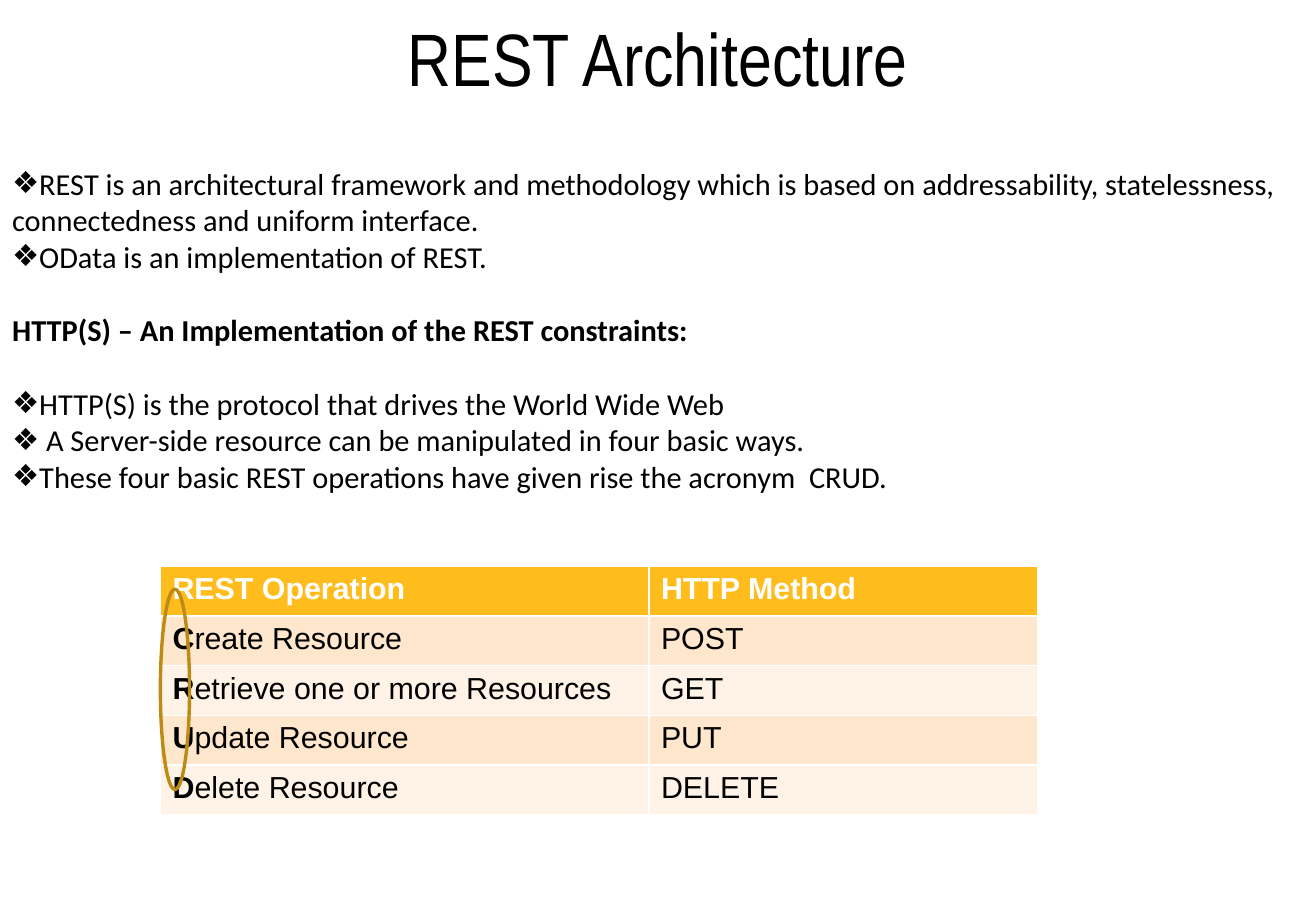
import pptx
import pptx.util
import pptx.dml.color
import pptx.enum.shapes
import pptx.enum.text
import lxml.etree
from pptx.oxml.ns import qn
from pptx.util import Inches

BLACK = pptx.dml.color.RGBColor(0x00, 0x00, 0x00)
WHITE = pptx.dml.color.RGBColor(0xFF, 0xFF, 0xFF)
AMBER = pptx.dml.color.RGBColor(0xFF, 0xBC, 0x1D)
PEACH = pptx.dml.color.RGBColor(0xFF, 0xE7, 0xCD)
CREAM = pptx.dml.color.RGBColor(0xFF, 0xF3, 0xE8)
BRONZE = pptx.dml.color.RGBColor(0xBD, 0x8B, 0x15)

SLIDE_WIDTH = Inches(10.83)
BLANK_LINE = 22

# Text, bullet shown, space before in points
BODY_LINES = [
    ("REST is an architectural framework and methodology which is based on "
     "addressability, statelessness, connectedness and uniform interface.", True, 0),
    ("OData is an implementation of REST.", True, 0),
    ("HTTP(S) – An Implementation of the REST constraints:", False, BLANK_LINE),
    ("HTTP(S) is the protocol that drives the World Wide Web", True, BLANK_LINE),
    (" A Server-side resource can be manipulated in four basic ways.", True, 0),
    ("These four basic REST operations have given rise the acronym  CRUD.", True, 0),
]

OPERATIONS = [
    ("REST Operation", "HTTP Method"),
    ("Create Resource", "POST"),
    ("Retrieve one or more Resources", "GET"),
    ("Update Resource", "PUT"),
    ("Delete Resource", "DELETE"),
]


def place(shape, left, top, width, height):
    shape.left, shape.top, shape.width, shape.height = left, top, width, height


def set_font(para, name, size, color, bold=False):
    font = para.font
    font.name = name
    font.size = pptx.util.Pt(size)
    font.color.rgb = color
    font.bold = bold


def set_bullet(para, shown):
    properties = para._p.get_or_add_pPr()
    properties.set("marL", "0")
    properties.set("indent", "0")
    if shown:
        lxml.etree.SubElement(properties, qn("a:buChar")).set("char", "❖")
    else:
        lxml.etree.SubElement(properties, qn("a:buNone"))


def fill_title(title):
    place(title, 0, 0, SLIDE_WIDTH, Inches(1.3))
    frame = title.text_frame
    frame.auto_size = pptx.enum.text.MSO_AUTO_SIZE.NONE
    frame.vertical_anchor = pptx.enum.text.MSO_ANCHOR.TOP
    frame.margin_top = Inches(0.1)
    para = frame.paragraphs[0]
    para.text = "REST Architecture"
    para.alignment = pptx.enum.text.PP_ALIGN.CENTER
    set_font(para, "Arial Narrow", 44, BLACK)


def fill_body(body):
    place(body, 0, Inches(1.31), SLIDE_WIDTH, Inches(3.23))
    frame = body.text_frame
    frame.auto_size = pptx.enum.text.MSO_AUTO_SIZE.NONE
    for index, (text, bulleted, space) in enumerate(BODY_LINES):
        para = frame.add_paragraph() if index else frame.paragraphs[0]
        para.text = text
        set_bullet(para, bulleted)
        para.space_before = pptx.util.Pt(space)
        set_font(para, "Calibri", 18, BLACK, bold=not bulleted)


def fill_cell(cell, text, fill, color, bold, bold_initial):
    cell.fill.solid()
    cell.fill.fore_color.rgb = fill
    para = cell.text_frame.paragraphs[0]
    if bold_initial:
        for part, heavy in ((text[0], True), (text[1:], False)):
            span = para.add_run()
            span.text = part
            span.font.bold = heavy
    else:
        para.text = text
    set_font(para, "Arial", 18, color, bold)


def add_operations_table(page):
    row_count = len(OPERATIONS)
    table = page.shapes.add_table(row_count, 2, Inches(1.32), Inches(4.66),
                                  Inches(7.22), Inches(0.41 * row_count)).table
    for column, width in zip(table.columns, (4.02, 3.2)):
        column.width = Inches(width)
    for row, texts in enumerate(OPERATIONS):
        header = row == 0
        fill = AMBER if header else (PEACH if row % 2 else CREAM)
        for column, text in enumerate(texts):
            fill_cell(table.cell(row, column), text, fill,
                      WHITE if header else BLACK, header,
                      bold_initial=not header and column == 0)


def add_initials_ring(page):
    ring = page.shapes.add_shape(pptx.enum.shapes.MSO_SHAPE.OVAL, Inches(1.32),
                                 Inches(4.85), Inches(0.24), Inches(1.65))
    ring.shadow.inherit = False
    ring.fill.background()
    ring.line.color.rgb = BRONZE
    ring.line.width = pptx.util.Pt(2)


def main():
    deck = pptx.Presentation()
    deck.slide_width = SLIDE_WIDTH
    deck.slide_height = Inches(7.5)
    page = deck.slides.add_slide(deck.slide_layouts[1])

    # Title and list
    fill_title(page.shapes.title)
    fill_body(page.placeholders[1])

    # Table with the CRUD initials circled
    add_operations_table(page)
    add_initials_ring(page)

    deck.save("out.pptx")


if __name__ == "__main__":
    main()
